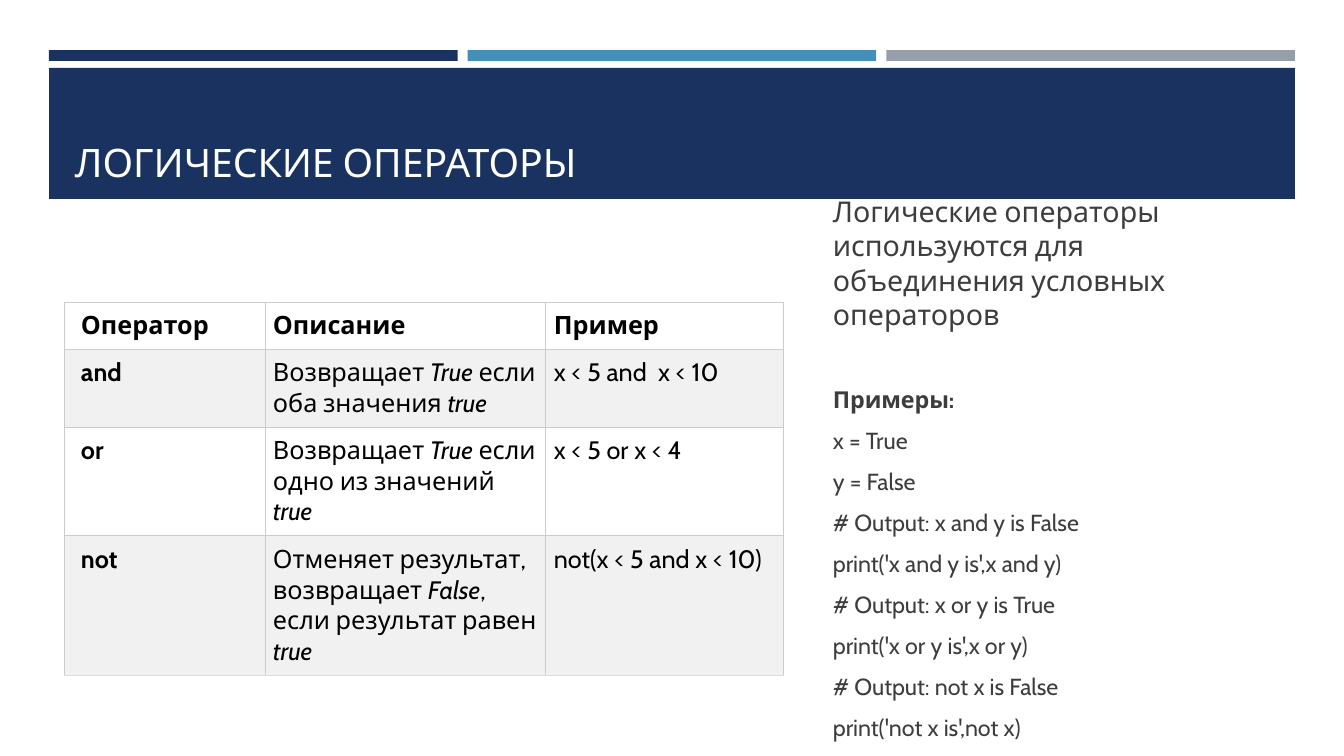
from lxml import etree
from pptx import Presentation
from pptx.dml.color import RGBColor
from pptx.enum.shapes import MSO_SHAPE
from pptx.enum.text import MSO_ANCHOR
from pptx.oxml.ns import qn
from pptx.util import Emu, Pt

RECTANGLE = MSO_SHAPE.RECTANGLE
TOP, MIDDLE, BOTTOM = MSO_ANCHOR.TOP, MSO_ANCHOR.MIDDLE, MSO_ANCHOR.BOTTOM

NAVY = RGBColor(0x1A, 0x32, 0x60)
BLUE = RGBColor(0x45, 0x90, 0xB8)
GREY = RGBColor(0x96, 0x9F, 0xA7)
WHITE = RGBColor(0xFF, 0xFF, 0xFF)
BLACK = RGBColor(0x00, 0x00, 0x00)
CHARCOAL = RGBColor(0x3D, 0x3D, 0x3D)
BAND = RGBColor(0xF1, 0xF1, 0xF1)
BORDER = RGBColor(0xCC, 0xCC, 0xCC)
LAST_BORDER = RGBColor(0xDD, 0xDD, 0xDD)

FONT = "Cabin"
EMU_PER_PX = 914400 / 100.8

COLUMN_WIDTHS = [201, 281, 238]
ROW_HEIGHTS = [47, 78, 109, 140]
PLAIN, BOLD, ITALIC = "plain", "bold", "italic"
OPERATOR_ROWS = [
    [[("Оператор", BOLD)], [("Описание", BOLD)], [("Пример", BOLD)]],
    [[("and", BOLD)],
     [("Возвращает ", PLAIN), ("True ", ITALIC),
      ("если оба значения ", PLAIN), ("true", ITALIC)],
     [("x < 5 and  x < 10", PLAIN)]],
    [[("or", BOLD)],
     [("Возвращает ", PLAIN), ("True ", ITALIC),
      ("если одно из значений ", PLAIN), ("true", ITALIC)],
     [("x < 5 or x < 4", PLAIN)]],
    [[("not", BOLD)],
     [("Отменяет результат, возвращает ", PLAIN), ("False", ITALIC),
      (", если результат равен ", PLAIN), ("true", ITALIC)],
     [("not(x < 5 and x < 10)", PLAIN)]],
]
INTRO = "Логические операторы используются для объединения условных операторов"
CODE_LINES = [
    "x = True",
    "y = False",
    "# Output: x and y is False",
    "print('x and y is',x and y)",
    "# Output: x or y is True",
    "print('x or y is',x or y)",
    "# Output: not x is False",
    "print('not x is',not x)",
]


def px(length):
    """Turn a length in px into EMU."""
    return Emu(round(length * EMU_PER_PX))


def add_span(para, text, size, color, style=PLAIN):
    """Add one run of text to a paragraph."""
    span = para.add_run()
    span.text = text
    span.font.name = FONT
    span.font.size = Pt(size)
    span.font.color.rgb = color
    span.font.bold = style == BOLD
    span.font.italic = style == ITALIC


def add_bar(page, box, color):
    """Draw a plain filled rectangle."""
    bar = page.shapes.add_shape(RECTANGLE, *map(px, box))
    bar.shadow.inherit = False
    bar.fill.solid()
    bar.fill.fore_color.rgb = color
    bar.line.fill.background()


def add_text_frame(page, box, anchor):
    """Add a wrapping text box and return its frame."""
    frame = page.shapes.add_textbox(*map(px, box)).text_frame
    frame.word_wrap = True
    frame.vertical_anchor = anchor
    return frame


def add_header(page, box):
    """Draw the three strips, the banner and the title."""
    left, top, width, height = box
    gap, strip_height, banner_top = 10, 11, 18
    strip_width = (width - 2 * gap) / 3
    for index, color in enumerate([NAVY, BLUE, GREY]):
        strip_left = left + index * (strip_width + gap)
        add_bar(page, (strip_left, top, strip_width, strip_height), color)
    add_bar(page, (left, top + banner_top, width, height - banner_top), NAVY)
    title = add_text_frame(page, (left + 16, top + 28, width - 32, 112), BOTTOM)
    add_span(title.paragraphs[0], "ЛОГИЧЕСКИЕ ОПЕРАТОРЫ", 28, WHITE)


def set_borders(cell, bottom_color):
    """Give a table cell thin lines on all four sides."""
    properties = cell._tc.get_or_add_tcPr()
    for side in ("L", "R", "T", "B"):
        line = etree.SubElement(properties, qn("a:ln" + side), w=str(Pt(0.75)))
        fill = etree.SubElement(line, qn("a:solidFill"))
        color = bottom_color if side == "B" else BORDER
        etree.SubElement(fill, qn("a:srgbClr"), val=str(color))


def add_operator_table(page, box):
    """Draw the table of logical operators."""
    table = page.shapes.add_table(
        len(ROW_HEIGHTS), len(COLUMN_WIDTHS), *map(px, box)).table
    table.first_row = False
    table.horz_banding = False
    for column, width in zip(table.columns, COLUMN_WIDTHS):
        column.width = px(width)
    for row, height in zip(table.rows, ROW_HEIGHTS):
        row.height = px(height)
    last_row = len(OPERATOR_ROWS) - 1
    for row_index, row in enumerate(OPERATOR_ROWS):
        for column_index, spans in enumerate(row):
            cell = table.cell(row_index, column_index)
            cell.margin_left = px(8 if column_index else 17)
            cell.margin_right = cell.margin_top = cell.margin_bottom = px(8)
            cell.vertical_anchor = TOP
            set_borders(cell, LAST_BORDER if row_index == last_row else BORDER)
            cell.fill.solid()
            cell.fill.fore_color.rgb = BAND if row_index % 2 else WHITE
            for text, style in spans:
                add_span(cell.text_frame.paragraphs[0], text, 18, BLACK, style)


def add_examples(page, box):
    """Write the explanation and the code examples."""
    frame = add_text_frame(page, box, MIDDLE)
    lines = [(INTRO, 20.4, PLAIN, 4), ("Примеры:", 16.6, BOLD, 33)]
    lines += [(code, 16.6, PLAIN, 3.3) for code in CODE_LINES]
    for index, (text, size, style, space_before) in enumerate(lines):
        para = frame.add_paragraph() if index else frame.paragraphs[0]
        para.space_before = Pt(space_before)
        para.space_after = Pt(6)
        add_span(para, text, size, CHARCOAL, style)


def main():
    """Build the slide and save it."""
    deck = Presentation()
    deck.slide_width, deck.slide_height = px(1344), px(756)
    page = deck.slides.add_slide(deck.slide_layouts[6])
    add_header(page, (49, 50, 1246, 149))
    add_examples(page, (823, 224, 457, 487))
    add_operator_table(page, (64, 302, sum(COLUMN_WIDTHS), sum(ROW_HEIGHTS)))
    deck.save("out.pptx")


if __name__ == "__main__":
    main()
